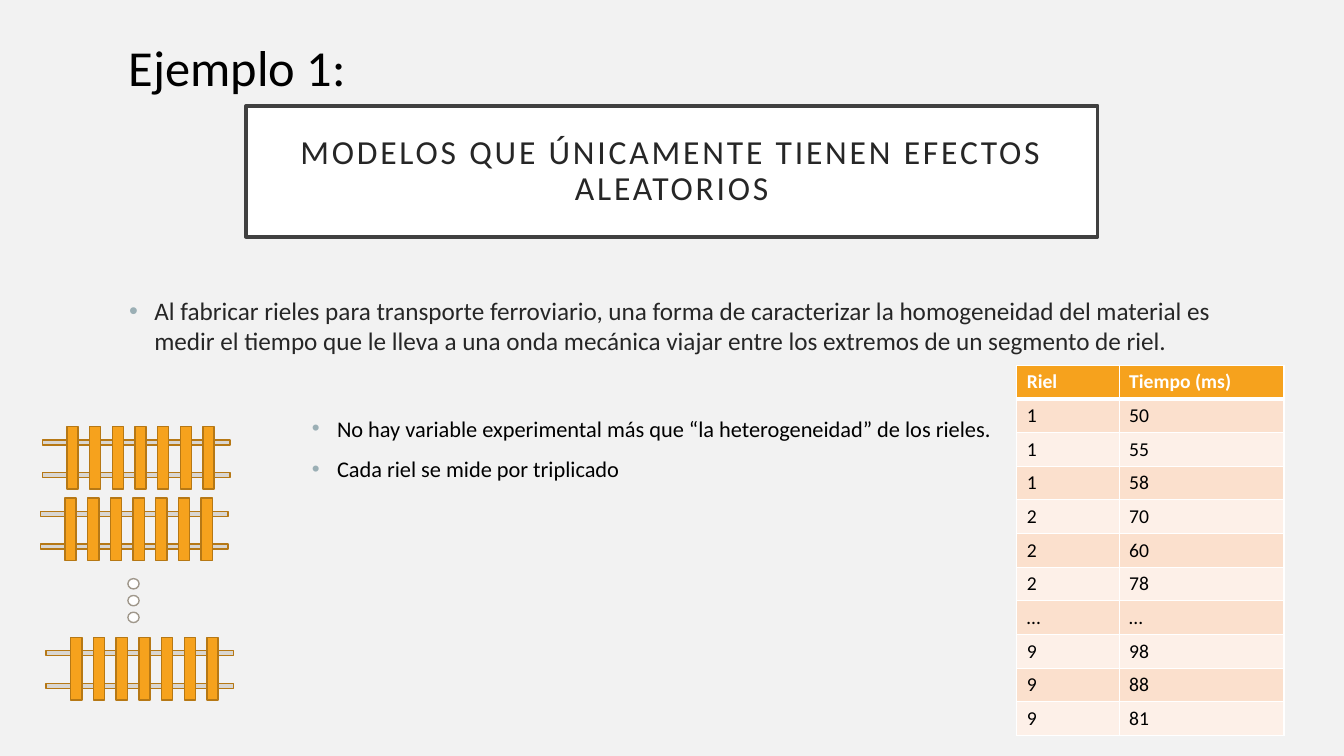
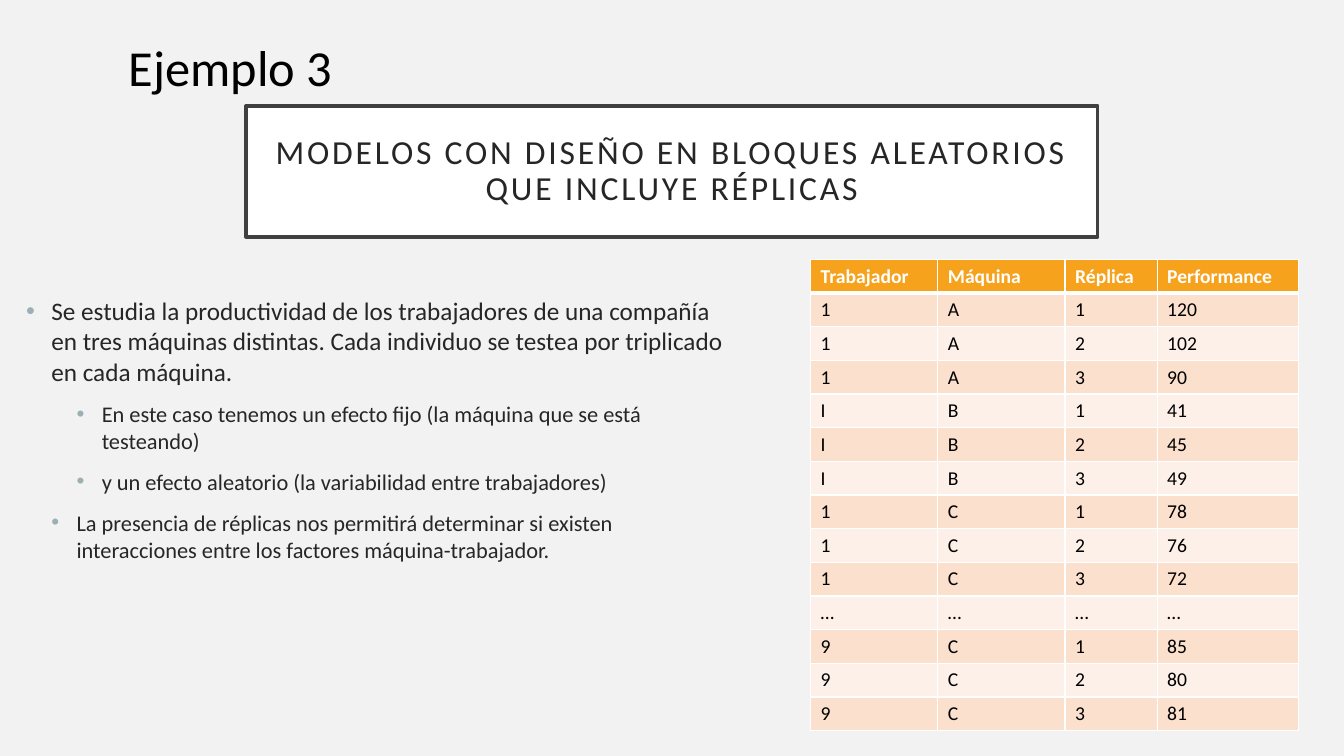
from lxml.etree import SubElement
from pptx import Presentation
from pptx.dml.color import RGBColor
from pptx.enum.shapes import MSO_SHAPE as Kind
from pptx.enum.text import MSO_ANCHOR as Anchor, MSO_AUTO_SIZE as Fit, PP_ALIGN as Align
from pptx.oxml.ns import qn
from pptx.util import Pt

FONT = "Calibri"
HEX = {
    "back": "F2F2F2", "white": "FFFFFF", "black": "000000", "ink": "262626",
    "frame": "404040", "bullet": "9BAFB5", "orange": "F6A21D", "edge": "B67815",
    "rail": "D9D6D1", "ring": "A0988C", "odd": "FBE0CD", "even": "FDF0E8",
}

# Body items: text, level, left indent, size, colour, space before
SLIDES = [
    {
        "label": "Ejemplo 1:",
        "title": "MODELOS QUE ÚNICAMENTE TIENEN EFECTOS ALEATORIOS",
        "box": (85, 207.4, 803.5, 244),
        "body": [
            ("Al fabricar rieles para transporte ferroviario, una forma de caracterizar "
             "la homogeneidad del material es medir el tiempo que le lleva a una onda "
             "mecánica viajar entre los extremos de un segmento de riel.",
             0, 18, 18, "ink", 10),
            ("No hay variable experimental más que “la heterogeneidad” de los rieles.",
             8, 148.5, 16, "black", 42),
            ("Cada riel se mide por triplicado", 8, 148.5, 16, "black", 10),
        ],
        "spot": (726.2, 260.9),
        "cols": [73.2, 117.8],
        "rows": [
            ("Riel", "Tiempo (ms)"),
            ("1", "50"), ("1", "55"), ("1", "58"),
            ("2", "70"), ("2", "60"), ("2", "78"),
            ("…", "…"),
            ("9", "98"), ("9", "88"), ("9", "81"),
        ],
        "tracks": [(30.2, 304.6), (28.9, 355.7), (33, 455.2)],
        "dots": (91.4, 413.3),
    },
    {
        "label": "Ejemplo 3",
        "title": "MODELOS CON DISEÑO EN BLOQUES ALEATORIOS QUE INCLUYE RÉPLICAS",
        "box": (11.5, 207.4, 522, 244),
        "body": [
            ("Se estudia la productividad de los trabajadores de una compañía en tres "
             "máquinas distintas. Cada individuo se testea por triplicado en cada máquina.",
             0, 18, 18, "ink", 10),
            ("En este caso tenemos un efecto fijo (la máquina que se está testeando)",
             2, 54, 16, "ink", 10),
            ("y un efecto aleatorio (la variabilidad entre trabajadores)",
             2, 54, 16, "ink", 10),
            ("La presencia de réplicas nos permitirá determinar si existen "
             "interacciones entre los factores máquina-trabajador.",
             1, 36, 16, "ink", 10),
        ],
        "spot": (579, 185.3),
        "cols": [90.9, 90.9, 65.8, 101],
        "rows": [
            ("Trabajador", "Máquina", "Réplica", "Performance"),
            ("1", "A", "1", "120"), ("1", "A", "2", "102"), ("1", "A", "3", "90"),
            ("I", "B", "1", "41"), ("I", "B", "2", "45"), ("I", "B", "3", "49"),
            ("1", "C", "1", "78"), ("1", "C", "2", "76"), ("1", "C", "3", "72"),
            ("…", "…", "…", "…"),
            ("9", "C", "1", "85"), ("9", "C", "2", "80"), ("9", "C", "3", "81"),
        ],
        "tracks": [],
        "dots": None,
    },
]


def tone(name):
    return RGBColor.from_string(HEX[name])


def paint(shape, fill, line, width=1):
    shape.fill.solid()
    shape.fill.fore_color.rgb = tone(fill)
    shape.line.color.rgb = tone(line)
    shape.line.width = Pt(width)


def style(par, size, color, bold=False):
    for run in par.runs:
        font = run.font
        font.name, font.size, font.bold = FONT, Pt(size), bold
        font.color.rgb = tone(color)


def place(shape, *box):
    shape.left, shape.top, shape.width, shape.height = map(Pt, box)


def add_part(shapes, kind, box, fill, line):
    part = shapes.add_shape(kind, *map(Pt, box))
    part.shadow.inherit = False
    paint(part, fill, line)


def set_title(shape, text):
    place(shape, 175.7, 75.6, 608.4, 93.6)
    paint(shape, "white", "frame", 2.5)
    frame = shape.text_frame
    frame.text = text
    frame.word_wrap, frame.auto_size = True, Fit.NONE
    frame.vertical_anchor = Anchor.MIDDLE
    frame.margin_left = frame.margin_right = Pt(14.4)
    frame.margin_top = frame.margin_bottom = Pt(14.4)
    par = frame.paragraphs[0]
    par.alignment, par.line_spacing = Align.CENTER, 0.9
    style(par, 24, "ink")
    par.runs[0].font._element.set("spc", "200")


def set_bullet(par, left):
    props = par._p.get_or_add_pPr()
    props.set("marL", str(Pt(left)))
    props.set("indent", str(-Pt(18)))
    color = SubElement(props, qn("a:buClr"))
    SubElement(color, qn("a:srgbClr"), val=HEX["bullet"])
    SubElement(props, qn("a:buFont"), typeface="Arial")
    SubElement(props, qn("a:buChar"), char="•")


def set_body(shape, box, items):
    place(shape, *box)
    frame = shape.text_frame
    frame.text = "\n".join(item[0] for item in items)
    frame.word_wrap, frame.auto_size = True, Fit.NONE
    for par, (_, level, left, size, color, gap) in zip(frame.paragraphs, items):
        par.level = level
        par.space_before = Pt(gap)
        set_bullet(par, left)
        style(par, size, color)


def add_label(slide, text):
    box = slide.shapes.add_textbox(Pt(85), Pt(22.3), Pt(252), Pt(51))
    frame = box.text_frame
    frame.text = text
    frame.word_wrap, frame.auto_size = True, Fit.SHAPE_TO_FIT_TEXT
    style(frame.paragraphs[0], 36, "black")


def set_edges(cell, top, bottom):
    props = cell._tc.get_or_add_tcPr()
    for side, width in (("L", 1), ("R", 1), ("T", top), ("B", bottom)):
        line = SubElement(props, qn("a:ln" + side), w=str(Pt(width)))
        fill = SubElement(line, qn("a:solidFill"))
        SubElement(fill, qn("a:srgbClr"), val=HEX["white"])


def add_grid(slide, spot, cols, rows):
    high = 24
    size = sum(cols), high * len(rows)
    grid = slide.shapes.add_table(len(rows), len(cols), *map(Pt, spot + size)).table
    for col, width in zip(grid.columns, cols):
        col.width = Pt(width)
    for r, row in enumerate(rows):
        grid.rows[r].height = Pt(high)
        head = r == 0
        fill = "orange" if head else ("even", "odd")[r % 2]
        for c, text in enumerate(row):
            cell = grid.cell(r, c)
            cell.text = text
            set_edges(cell, 3 if r == 1 else 1, 3 if head else 1)
            cell.fill.solid()
            cell.fill.fore_color.rgb = tone(fill)
            style(cell.text_frame.paragraphs[0], 14, "white" if head else "black", head)


def add_track(slide, x, y):
    """Two rails under seven ties, as one group."""
    shapes = slide.shapes.add_group_shape().shapes
    for drop in (9.6, 33):
        add_part(shapes, Kind.RECTANGLE, (x, y + drop, 134, 3.6), "rail", "edge")
    for i in range(7):
        tie = (x + 17.6 + 16.2 * i, y, 8, 44.8)
        add_part(shapes, Kind.RECTANGLE, tie, "orange", "edge")


def add_dots(slide, x, y):
    for i in range(3):
        add_part(slide.shapes, Kind.OVAL, (x, y + 12 * i, 8, 7.4), "white", "ring")


def main():
    deck = Presentation()
    deck.slide_width, deck.slide_height = Pt(960), Pt(540)
    back = deck.slide_master.background.fill
    back.solid()
    back.fore_color.rgb = tone("back")
    for data in SLIDES:
        slide = deck.slides.add_slide(deck.slide_layouts[1])
        set_title(slide.shapes.title, data["title"])
        set_body(slide.placeholders[1], data["box"], data["body"])
        add_label(slide, data["label"])
        for spot in data["tracks"]:
            add_track(slide, *spot)
        if data["dots"]:
            add_dots(slide, *data["dots"])
        add_grid(slide, data["spot"], data["cols"], data["rows"])
    deck.save("out.pptx")


if __name__ == "__main__":
    main()
